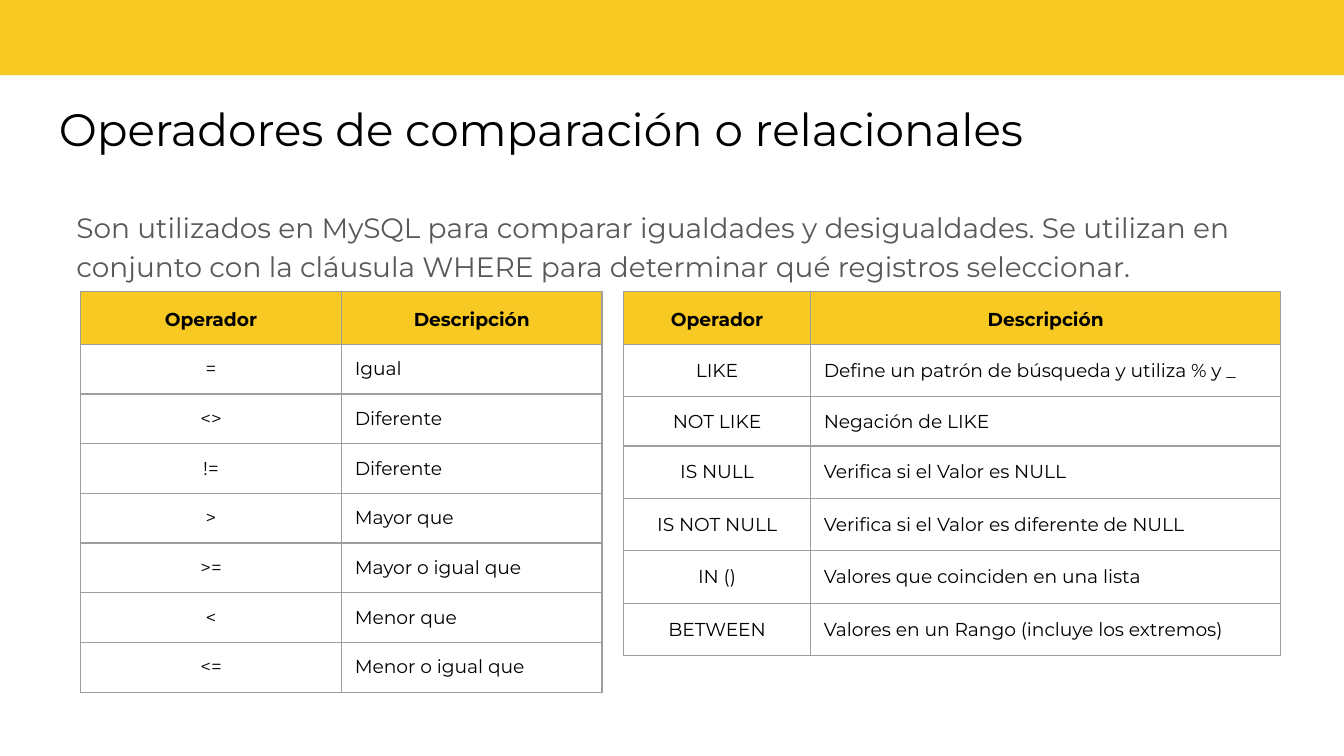
from lxml import etree
from pptx import Presentation
from pptx.dml.color import RGBColor
from pptx.enum.shapes import MSO_SHAPE
from pptx.enum.text import MSO_ANCHOR, PP_ALIGN
from pptx.oxml.ns import qn
from pptx.util import Inches, Pt

YELLOW = RGBColor(0xF8, 0xC8, 0x23)
BLACK = RGBColor(0, 0, 0)
GRAY = RGBColor(0x59, 0x59, 0x59)
BORDER = RGBColor(0x9E, 0x9E, 0x9E)
RECT = MSO_SHAPE.RECTANGLE
MIDDLE = MSO_ANCHOR.MIDDLE
TOP = MSO_ANCHOR.TOP
LEFT, CENTER = PP_ALIGN.LEFT, PP_ALIGN.CENTER

FONT = "Montserrat"
INSET = Inches(0.1)
WIDTH = 10
HEIGHT = WIDTH * 9 / 16
TABLE_TOP = 2.17

TITLE = "Operadores de comparación o relacionales"
INTRO = ("Son utilizados en MySQL para comparar igualdades y desigualdades. "
         "Se utilizan en conjunto con la cláusula WHERE para determinar qué "
         "registros seleccionar.")
HEADER = ("Operador", "Descripción")
COMPARISONS = [
    ("=", "Igual"),
    ("<>", "Diferente"),
    ("!=", "Diferente"),
    (">", "Mayor que"),
    (">=", "Mayor o igual que"),
    ("<", "Menor que"),
    ("<=", "Menor o igual que"),
]
PATTERNS = [
    ("LIKE", "Define un patrón de búsqueda y utiliza % y _"),
    ("NOT LIKE", "Negación de LIKE"),
    ("IS NULL", "Verifica si el Valor es NULL"),
    ("IS NOT NULL", "Verifica si el Valor es diferente de NULL"),
    ("IN ()", "Valores que coinciden en una lista"),
    ("BETWEEN", "Valores en un Rango (incluye los extremos)"),
]
# left, column widths, row heights, rows
TABLES = [
    (0.6, (1.94, 1.94), [0.37] * 8, COMPARISONS),
    (4.64, (1.39, 3.5), [0.36, 0.39, 0.36] + [0.39] * 4, PATTERNS),
]


def write(tf, text, size, color, align=LEFT, bold=False, spacing=1.0):
    p = tf.paragraphs[0]
    p.alignment = align
    p.line_spacing = spacing
    r = p.add_run()
    r.text = text
    r.font.name = FONT
    r.font.size = Pt(size)
    r.font.bold = bold
    r.font.color.rgb = color
    return p


def add_text(s, box, text, size, color, spacing=1.0):
    tf = s.shapes.add_textbox(*map(Inches, box)).text_frame
    tf.word_wrap = True
    tf.vertical_anchor = TOP
    tf.margin_left = tf.margin_right = tf.margin_top = tf.margin_bottom = INSET
    return write(tf, text, size, color, spacing=spacing)


def add_borders(cell):
    tc_pr = cell._tc.get_or_add_tcPr()
    for i, side in enumerate(("lnL", "lnR", "lnT", "lnB")):
        ln = etree.Element(qn(f"a:{side}"), w=str(Pt(0.75)))
        fill = etree.SubElement(ln, qn("a:solidFill"))
        etree.SubElement(fill, qn("a:srgbClr"), val=str(BORDER))
        tc_pr.insert(i, ln)  # borders come before the cell fill


def add_operator_table(s, left, widths, heights, rows):
    table = s.shapes.add_table(
        len(heights), len(widths), Inches(left), Inches(TABLE_TOP),
        Inches(sum(widths)), Inches(sum(heights))).table
    for column, width in zip(table.columns, widths):
        column.width = Inches(width)
    for row, height in zip(table.rows, heights):
        row.height = Inches(height)
    for i, texts in enumerate([HEADER] + rows):
        head = i == 0
        for j, text in enumerate(texts):
            cell = table.cell(i, j)
            cell.vertical_anchor = MIDDLE
            cell.margin_left = cell.margin_right = INSET
            cell.margin_top = cell.margin_bottom = INSET
            if head:
                cell.fill.solid()
                cell.fill.fore_color.rgb = YELLOW
            else:
                cell.fill.background()
            add_borders(cell)
            write(cell.text_frame, text, 10, BLACK,
                  CENTER if head or j == 0 else LEFT,
                  head, 1.15 if head else 1.0)


prs = Presentation()
prs.slide_width, prs.slide_height = Inches(WIDTH), Inches(HEIGHT)
s = prs.slides.add_slide(prs.slide_layouts[6])

band = s.shapes.add_shape(RECT, Inches(-0.01), Inches(-0.05),
                          Inches(10.03), Inches(0.61))
band.shadow.inherit = False
band.fill.solid()
band.fill.fore_color.rgb = YELLOW
band.line.fill.background()

add_text(s, (0.34, 0.65, 9.3, 0.63), TITLE, 24.3, BLACK)
intro = add_text(s, (0.47, 1.43, 9.06, 3.63), INTRO, 15, GRAY, 1.15)
intro.space_after = Pt(12)

for left, widths, heights, rows in TABLES:
    add_operator_table(s, left, widths, heights, rows)

prs.save("out.pptx")
